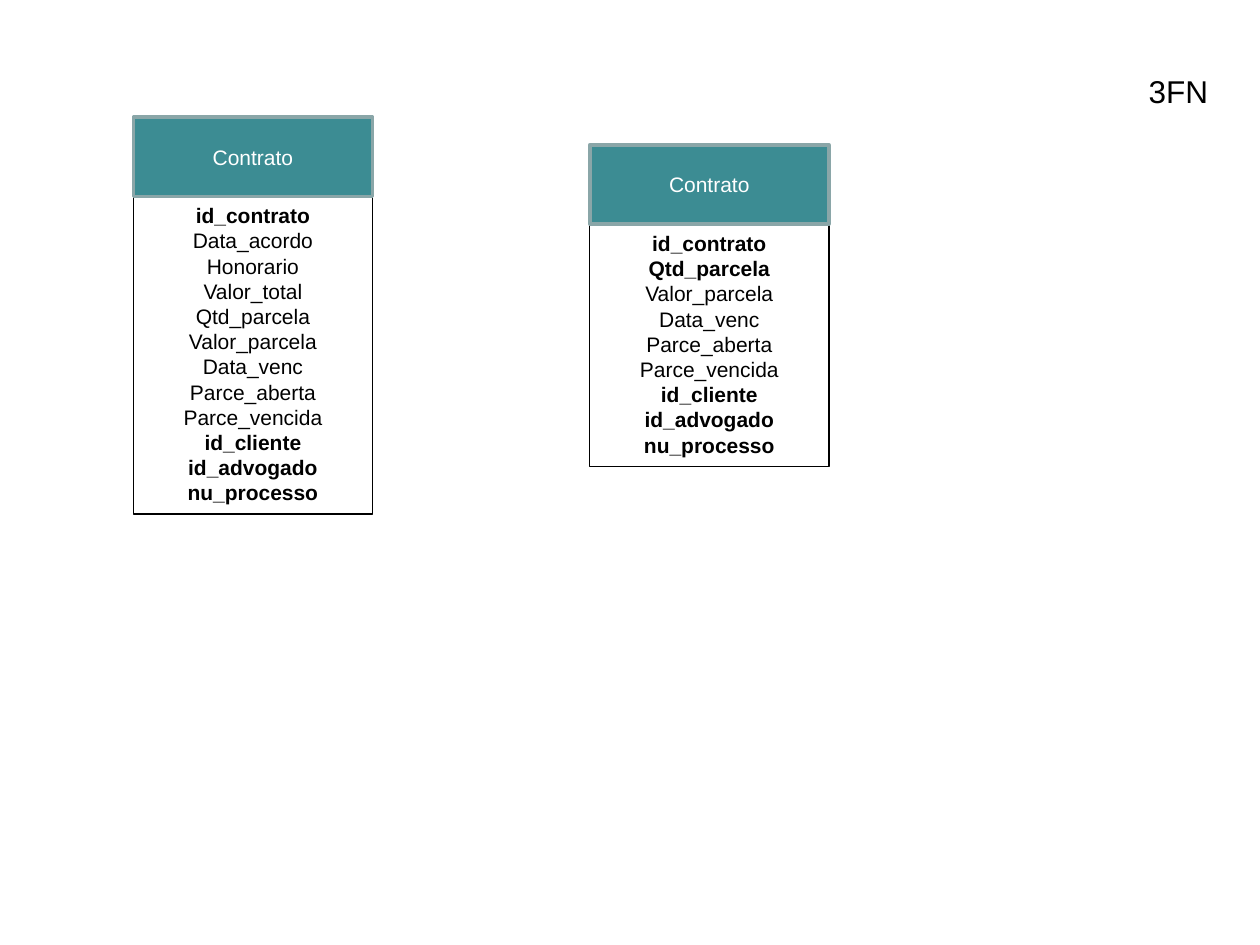
from dataclasses import dataclass
from pptx import Presentation
from pptx.dml.color import RGBColor
from pptx.enum.shapes import MSO_SHAPE
from pptx.enum.text import MSO_ANCHOR, MSO_AUTO_SIZE, PP_ALIGN
from pptx.oxml.xmlchemy import OxmlElement
from pptx.util import Cm, Pt

WIDE, HEAD = 4.82, 1.6
KEYS = ("id_cliente", "id_advogado", "nu_processo")
PARTS = ("Valor_parcela", "Data_venc", "Parce_aberta", "Parce_vencida")


@dataclass
class Entity:
    name: str
    left: float
    top: float
    tall: float
    fields: tuple[str, ...]
    bold: tuple[str, ...]


ENTITIES = [
    Entity("Contrato", 2.69, 2.36, 6.4,
           ("id_contrato", "Data_acordo", "Honorario", "Valor_total",
            "Qtd_parcela", *PARTS, *KEYS),
           ("id_contrato", *KEYS)),
    Entity("Contrato", 11.89, 2.92, 4.88,
           ("id_contrato", "Qtd_parcela", *PARTS, *KEYS),
           ("id_contrato", "Qtd_parcela", *KEYS)),
]


def color(code: str) -> RGBColor:
    return RGBColor.from_string(code)


def place(shape, left: float, top: float, wide: float, tall: float) -> None:
    shape.left, shape.top = Cm(left), Cm(top)
    shape.width, shape.height = Cm(wide), Cm(tall)


def border(shape, code: str, size: float) -> None:
    shape.line.color.rgb = color(code)
    shape.line.width = Pt(size)


def write(para, text: str, size: int, code: str, bold: bool = False,
          align=PP_ALIGN.CENTER) -> None:
    para.alignment = align
    para.space_before = Pt(0)
    run = para.add_run()
    run.text = text
    font = run.font
    font.name, font.size, font.bold = "Arial", Pt(size), bold
    font.color.rgb = color(code)


def plain(para) -> None:
    """Remove the bullet and indent of a list paragraph."""
    props = para._p.get_or_add_pPr()
    props.set("marL", "0")
    props.set("indent", "0")
    props.append(OxmlElement("a:buNone"))


def draw(slide, body, ent: Entity) -> None:
    # Field list
    place(body, ent.left, ent.top + HEAD, WIDE, ent.tall)
    border(body, "000000", 0.75)
    frame = body.text_frame
    frame.auto_size = MSO_AUTO_SIZE.NONE
    frame.vertical_anchor = MSO_ANCHOR.TOP
    for pos, field in enumerate(ent.fields):
        para = frame.add_paragraph() if pos else frame.paragraphs[0]
        write(para, field, 12, "000000", field in ent.bold)
        plain(para)

    # Entity header
    head = slide.shapes.add_shape(MSO_SHAPE.RECTANGLE, 0, 0, 0, 0)
    place(head, ent.left, ent.top, WIDE, HEAD)
    head.shadow.inherit = False
    head.fill.solid()
    head.fill.fore_color.rgb = color("3C8C93")
    border(head, "8AA6A8", 2)
    head.text_frame.vertical_anchor = MSO_ANCHOR.MIDDLE
    write(head.text_frame.paragraphs[0], ent.name, 12, "FFFFFF")


deck = Presentation()
deck.slide_width, deck.slide_height = Cm(25.4), Cm(19.05)
slide = deck.slides.add_slide(deck.slide_layouts[3])

# Title
title = slide.shapes.title
place(title, 22.9, 1.32, 1.73, 1.02)
title.text_frame.word_wrap = False
title.text_frame.auto_size = MSO_AUTO_SIZE.NONE
title.text_frame.vertical_anchor = MSO_ANCHOR.TOP
write(title.text_frame.paragraphs[0], "3FN", 18, "000000", align=PP_ALIGN.LEFT)

# Entities
for slot, ent in enumerate(ENTITIES, start=1):
    draw(slide, slide.placeholders[slot], ent)

deck.save("out.pptx")
